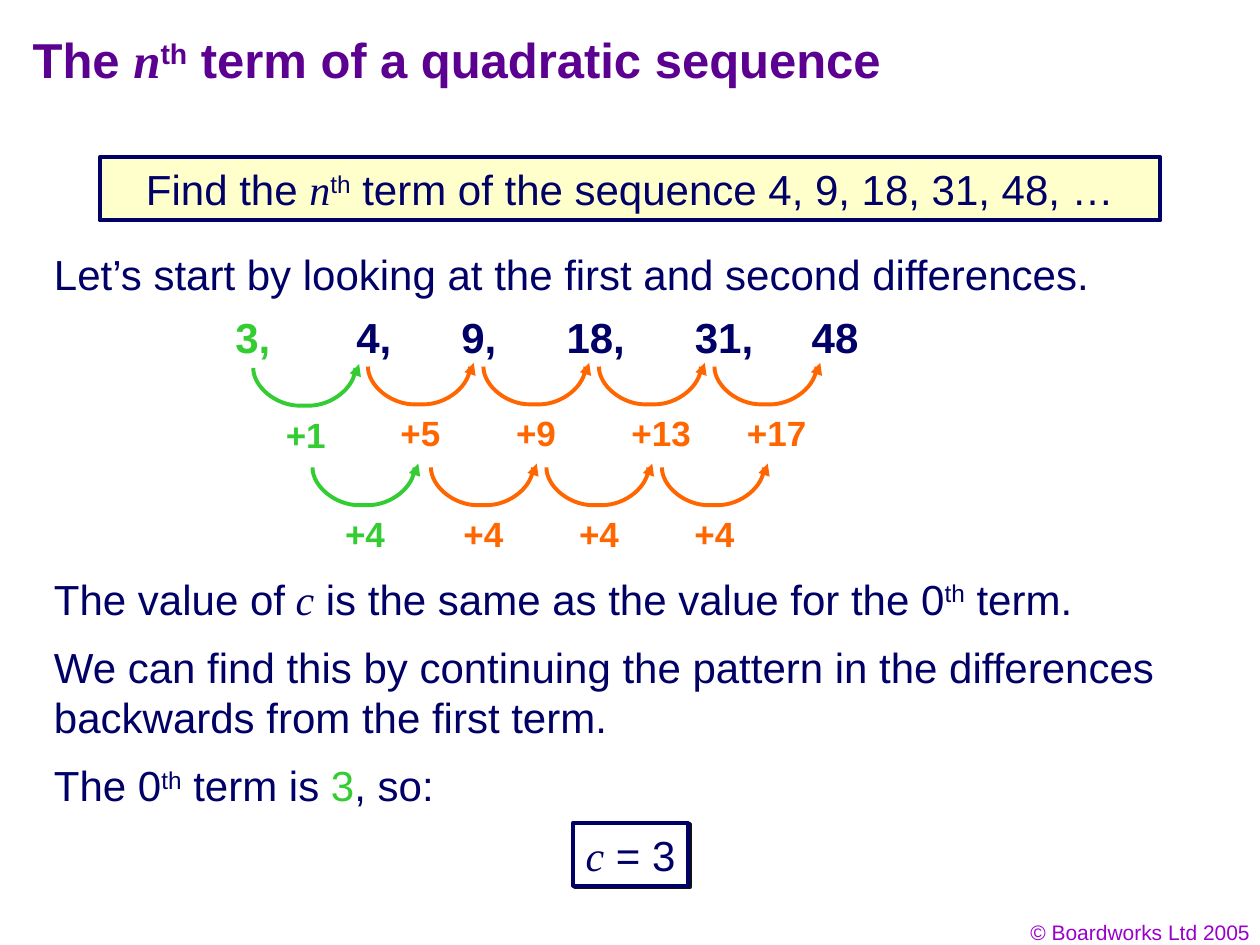
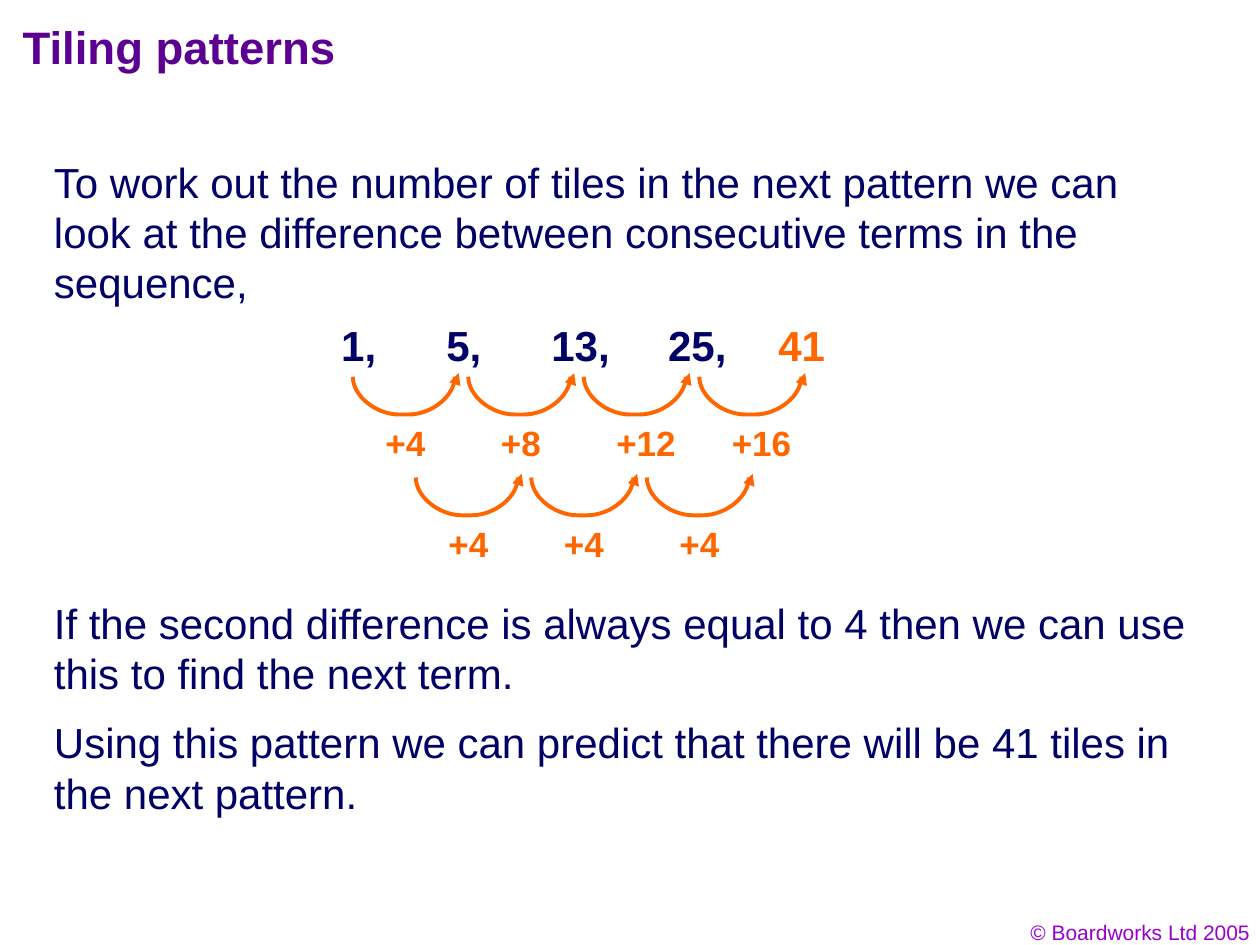
import pptx
import pptx.dml.color
import pptx.enum.shapes
import pptx.enum.text
import pptx.oxml
import pptx.oxml.ns
import pptx.util
from lxml import etree

COLS, ROWS = 100, 75
CELL = pptx.util.Inches(0.1)
ARC_STEP = 55 / 6  # columns from one difference to the next

TEXT, NAVY, PURPLE, VIOLET = "010066", "000066", "5B0091", "9900CC"
ORANGE, GREEN, CREAM, WHITE, SHADOW = "FF6600", "33CC33", "FFFFCC", "FFFFFF", "111111"

VARIABLE = dict(font="Times New Roman", italic=True)
SUPER = dict(raised=30)

PP_ALIGN = pptx.enum.text.PP_ALIGN
ANCHOR = pptx.enum.text.MSO_ANCHOR
qn = pptx.oxml.ns.qn


def rgb(colour):
    return pptx.dml.color.RGBColor.from_string(colour)


def grid(*cells):
    return [round(cell * CELL) for cell in cells]


def add_xml(parent, tag, **attributes):
    return etree.SubElement(parent, qn(tag), attributes)


def add_run(p, text, size=24, font="Arial", colour=TEXT, bold=False, italic=False, raised=0):
    r = p.add_run()
    r.text = text
    r.font.size, r.font.name = pptx.util.Pt(size), font
    r.font.bold, r.font.italic = bold, italic
    r.font.color.rgb = rgb(colour)
    if raised:
        r.font._element.set("baseline", str(raised * 1000))


class Deck:
    def __init__(self):
        self.prs = pptx.Presentation()
        self.prs.slide_width, self.prs.slide_height = grid(COLS, ROWS)
        self.layout = self.prs.slide_layouts[5]
        self.s = None

    def slide(self, at, title, size):
        self.s = self.prs.slides.add_slide(self.layout)
        sp = self.s.shapes.title
        sp.left, sp.top, sp.width, sp.height = grid(*at)
        self.set_text(sp, title, anchor=ANCHOR.MIDDLE, size=size, colour=PURPLE, bold=True)

    def set_text(self, sp, runs, align=PP_ALIGN.LEFT, anchor=ANCHOR.TOP, wrap=True, tabs=(),
                 **style):
        """Fill a shape with one paragraph; a run is a string or (string, changes to the style)."""
        tf = sp.text_frame
        tf.word_wrap, tf.vertical_anchor = wrap, anchor
        tf.auto_size = pptx.enum.text.MSO_AUTO_SIZE.NONE
        p = tf.paragraphs[0]
        p.alignment = align
        if tabs:
            tab_list = add_xml(p._p.get_or_add_pPr(), "a:tabLst")
            for tab in grid(*tabs):
                add_xml(tab_list, "a:tab", pos=str(tab), algn="l")
        for run in [runs] if isinstance(runs, str) else runs:
            text, changes = (run, {}) if isinstance(run, str) else run
            add_run(p, text, **{**style, **changes})

    def text(self, at, runs, **style):
        sp = self.s.shapes.add_textbox(*grid(*at))
        self.set_text(sp, runs, **style)
        return sp

    def box(self, at, runs, fill, shadow=None, **style):
        sp = self.s.shapes.add_shape(pptx.enum.shapes.MSO_SHAPE.RECTANGLE, *grid(*at))
        sp.shadow.inherit = False
        sp.fill.solid()
        sp.fill.fore_color.rgb = rgb(fill)
        self.stroke(sp, NAVY)
        if shadow:
            effects = sp._element.spPr.find(qn("a:effectLst"))
            cast = add_xml(effects, "a:outerShdw", blurRad="0", dist=str(pptx.util.Pt(1.4)),
                           dir="2700000", algn="ctr", rotWithShape="0")
            add_xml(cast, "a:srgbClr", val=shadow)
        self.set_text(sp, runs, anchor=ANCHOR.MIDDLE, **style)

    def stroke(self, sp, colour):
        sp.line.color.rgb = rgb(colour)
        sp.line.width = pptx.util.Pt(2.25)

    def arc(self, x, y, colour):
        """Draw a cup 8.1 columns wide, open at the top."""
        half = [(8.1, 1.5), (6.3, 3), (4.4, 3)]
        mirrored = [(8.1 - dx, dy) for dx, dy in reversed(half)]
        points = [grid(x + dx, y + dy) for dx, dy in half + mirrored + [(0, 0)]]
        builder = self.s.shapes.build_freeform(*grid(x + 8.1, y))
        builder.add_line_segments(points, close=False)
        sp = builder.convert_to_shape()
        sp.shadow.inherit = False
        sp.fill.background()
        self.stroke(sp, colour)
        lines = list(sp._element.iter(qn("a:lnTo")))
        for controls in (lines[:3], lines[4:]):
            bezier = etree.Element(qn("a:cubicBezTo"))
            controls[0].addprevious(bezier)
            for line in controls:
                bezier.append(line[0])
                line.getparent().remove(line)

    def arrow(self, x1, y1, x2, y2, colour):
        cxn = self.s.shapes.add_connector(pptx.enum.shapes.MSO_CONNECTOR.STRAIGHT,
                                          *grid(x1, y1, x2, y2))
        self.stroke(cxn, colour)
        add_xml(cxn._element.spPr.find(qn("a:ln")), "a:tailEnd", type="triangle")
        add_xml(cxn._element.spPr, "a:effectLst")

    def differences(self, x, y, labels, colour=ORANGE):
        """Draw a row of arcs with arrowheads, each over its difference."""
        for i, label in enumerate(labels):
            left = x + i * ARC_STEP
            self.arc(left, y, colour)
            self.arrow(left + 8.2, y + 0.3, left + 8.4, y - 0.3, colour)
            width = 5.1 if len(label) == 2 else 6.7
            self.text((left + 1.6, y + 3.1, width, 4.4), label,
                      wrap=False, size=20, colour=colour, bold=True)

    def footer(self, text):
        """Put the line on the layout, so that every slide shows it."""
        sp = self.text((76.9, 72.5, 23.3, 3), text, align=PP_ALIGN.RIGHT, size=12, colour=VIOLET)
        self.layout.shapes._spTree.append(sp._element)


def quadratic_slide(deck):
    deck.slide((1.6, 1.6, 80.8, 6.2), ["The ", ("n", VARIABLE), ("th", SUPER),
                                       " term of a quadratic sequence"], 28)
    deck.box((7.9, 12.5, 84.2, 5), ["Find the ", ("n", VARIABLE), ("th", SUPER),
                                    " term of the sequence 4, 9, 18, 31, 48, …"],
             CREAM, align=PP_ALIGN.CENTER)
    deck.text((3.3, 19.2, 88.5, 5), "Let’s start by looking at the first and second differences.")
    deck.text((27.3, 24.2, 42.7, 5), "4,\t9,\t18,\t31,\t48",
              tabs=(8.34, 16.68, 26.87, 36.14), colour=NAVY, bold=True)
    deck.differences(29.2, 29.1, ["+5", "+9", "+13", "+17"])
    deck.differences(34.2, 37.1, ["+4"] * 3)
    deck.text((3.3, 45, 92.5, 5), ["The value of", (" c", VARIABLE),
                                   " is the same as the value for the 0", ("th", SUPER), " term."])
    deck.differences(24.8, 37.1, ["+4"], GREEN)
    deck.differences(20.1, 29.2, ["+1"], GREEN)
    deck.text((17.7, 24.2, 4.8, 5), "3,", wrap=False, colour=GREEN, bold=True)
    deck.text((3.3, 50.4, 92.5, 9), "We can find this by continuing the pattern in the "
                                    "differences backwards from the first term.")
    deck.text((3.3, 59.8, 41, 5), ["The 0", ("th", SUPER), " term is ", ("3", dict(colour=GREEN)),
                                   (", ", dict(colour=NAVY)), "so:"])
    deck.box((45.5, 65.3, 9.1, 5), [("c", VARIABLE), " = 3"], WHITE, shadow=SHADOW, wrap=False)


def tiling_slide(deck):
    deck.slide((0.8, 0.8, 82.2, 5.8), "Tiling patterns", 26)
    deck.text((3.3, 11.9, 88.5, 13), "To work out the number of tiles in the next pattern we can "
              "look at the difference between consecutive terms in the sequence,")
    deck.text((26.1, 24.9, 33.5, 5), "1,\t5,\t13,\t25,",
              tabs=(8.34, 16.68, 25.94), colour=NAVY, bold=True)
    deck.differences(28, 29.9, ["+4", "+8", "+12", "+16"])
    deck.differences(33, 37.9, ["+4"] * 3)
    deck.text((60.8, 24.9, 5.7, 5), "41", wrap=False, colour=ORANGE, bold=True)
    deck.text((3.3, 46.9, 92.3, 9), "If the second difference is always equal to 4 then we can "
                                    "use this to find the next term.")
    deck.text((3.3, 56.4, 92.3, 9), "Using this pattern we can predict that there will be 41 "
                                    "tiles in the next pattern.")


def main():
    deck = Deck()
    quadratic_slide(deck)
    tiling_slide(deck)
    deck.footer("© Boardworks Ltd 2005")
    deck.prs.save("out.pptx")


if __name__ == "__main__":
    main()
